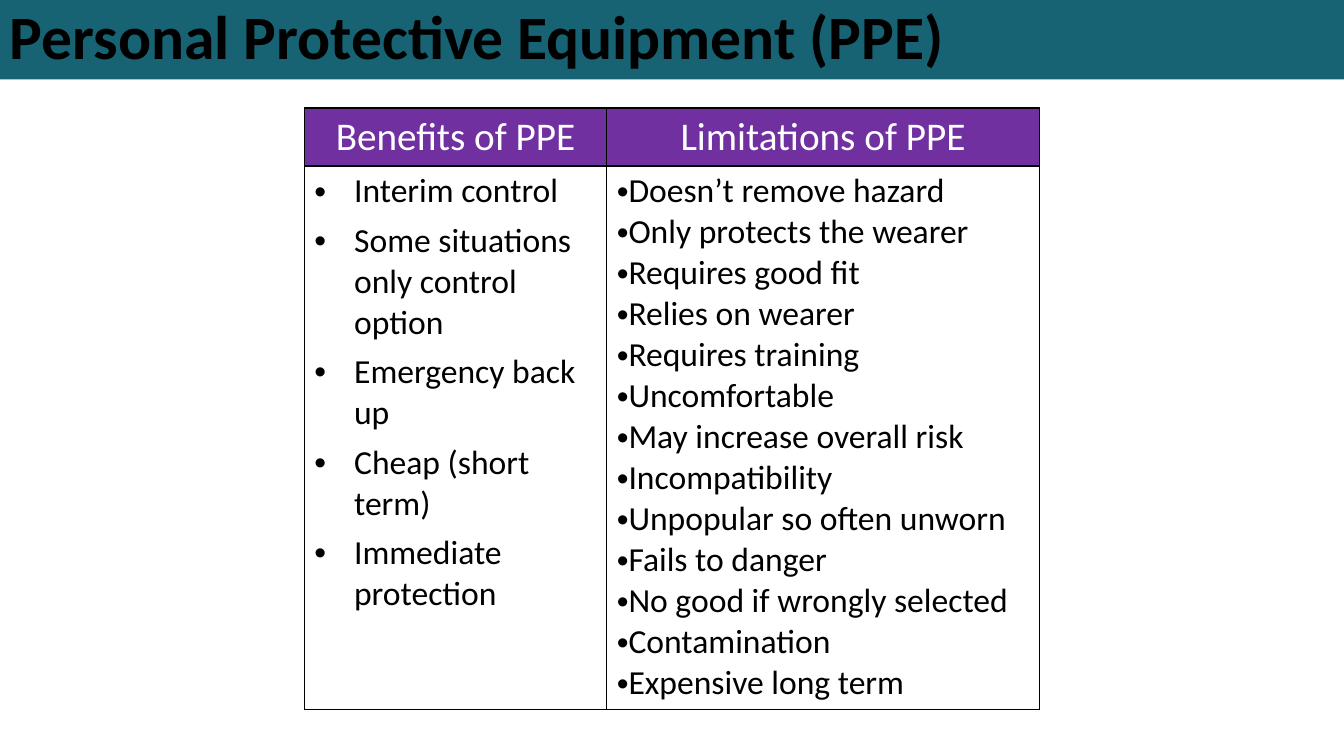
"""Build a slide on the benefits and limitations of PPE."""
from lxml import etree
from pptx import Presentation
from pptx.dml.color import RGBColor
from pptx.enum import shapes, text
from pptx.oxml import ns
from pptx.util import Cm, Pt

FONT = "Calibri"
COLORS = {"band": "176373", "head": "7030A0", "ink": "000000", "pale": "FFFFFF"}
GAINS = [
    "Interim control",
    "Some situations only control option",
    "Emergency back up",
    "Cheap (short term)",
    "Immediate protection",
]
LIMITS = [
    "Doesn’t remove hazard",
    "Only protects the wearer",
    "Requires good fit",
    "Relies on wearer",
    "Requires training",
    "Uncomfortable",
    "May increase overall risk",
    "Incompatibility",
    "Unpopular so often unworn",
    "Fails to danger",
    "No good if wrongly selected",
    "Contamination",
    "Expensive long term",
]


def color(name):
    return RGBColor.from_string(COLORS[name])


def style(para, size, ink, bold=False):
    font = para.font
    font.name, font.size, font.bold = FONT, Pt(size), bold
    font.color.rgb = color(ink)


def add_title(slide, width, words):
    band = slide.shapes.add_shape(shapes.MSO_SHAPE.RECTANGLE, 0, 0, width, Cm(2))
    band.shadow.inherit = False
    band.fill.solid()
    band.fill.fore_color.rgb = color("band")
    band.line.fill.background()
    frame = band.text_frame
    frame.word_wrap = True
    frame.vertical_anchor = text.MSO_ANCHOR.MIDDLE
    para = frame.paragraphs[0]
    para.text = words
    para.alignment = text.PP_ALIGN.LEFT
    para.line_spacing = 0.9
    style(para, 44, "ink", True)


def add_edges(cell):
    props = cell._tc.get_or_add_tcPr()
    for side in ("lnL", "lnR", "lnT", "lnB"):
        line = etree.SubElement(props, ns.qn(f"a:{side}"), w=str(Pt(1)))
        fill = etree.SubElement(line, ns.qn("a:solidFill"))
        etree.SubElement(fill, ns.qn("a:srgbClr"), val=COLORS["ink"])


def fill_head(cell, words):
    add_edges(cell)
    cell.fill.solid()
    cell.fill.fore_color.rgb = color("head")
    para = cell.text_frame.paragraphs[0]
    para.text = words
    para.alignment = text.PP_ALIGN.CENTER
    style(para, 28, "pale")


def fill_list(cell, items, indent, gap):
    add_edges(cell)
    cell.fill.background()
    frame = cell.text_frame
    frame.text = "\n".join(items)
    for i, para in enumerate(frame.paragraphs):
        props = para._p.get_or_add_pPr()
        props.set("marL", str(indent))
        props.set("indent", str(-indent))
        etree.SubElement(props, ns.qn("a:buFont"), typeface="Arial")
        etree.SubElement(props, ns.qn("a:buChar"), char="•")
        para.space_before = Pt(gap if i else 0)
        style(para, 24, "ink")


def add_grid(slide):
    widths, heights = (Cm(7.62), Cm(10.9)), (Cm(1.46), Cm(13.69))
    table = slide.shapes.add_table(
        2, 2, Cm(7.67), Cm(2.72), sum(widths), sum(heights)
    ).table
    table.first_row = table.horz_banding = False
    for col, width in zip(table.columns, widths):
        col.width = width
    for row, height in zip(table.rows, heights):
        row.height = height
    fill_head(table.cell(0, 0), "Benefits of PPE")
    fill_head(table.cell(0, 1), "Limitations of PPE")
    fill_list(table.cell(1, 0), GAINS, Cm(1), 6)
    fill_list(table.cell(1, 1), LIMITS, Cm(0), 0)


def main():
    deck = Presentation()
    deck.slide_width, deck.slide_height = Cm(33.87), Cm(19.05)
    slide = deck.slides.add_slide(deck.slide_layouts[6])
    add_title(slide, deck.slide_width, "Personal Protective Equipment (PPE)")
    add_grid(slide)
    deck.save("out.pptx")


if __name__ == "__main__":
    main()
